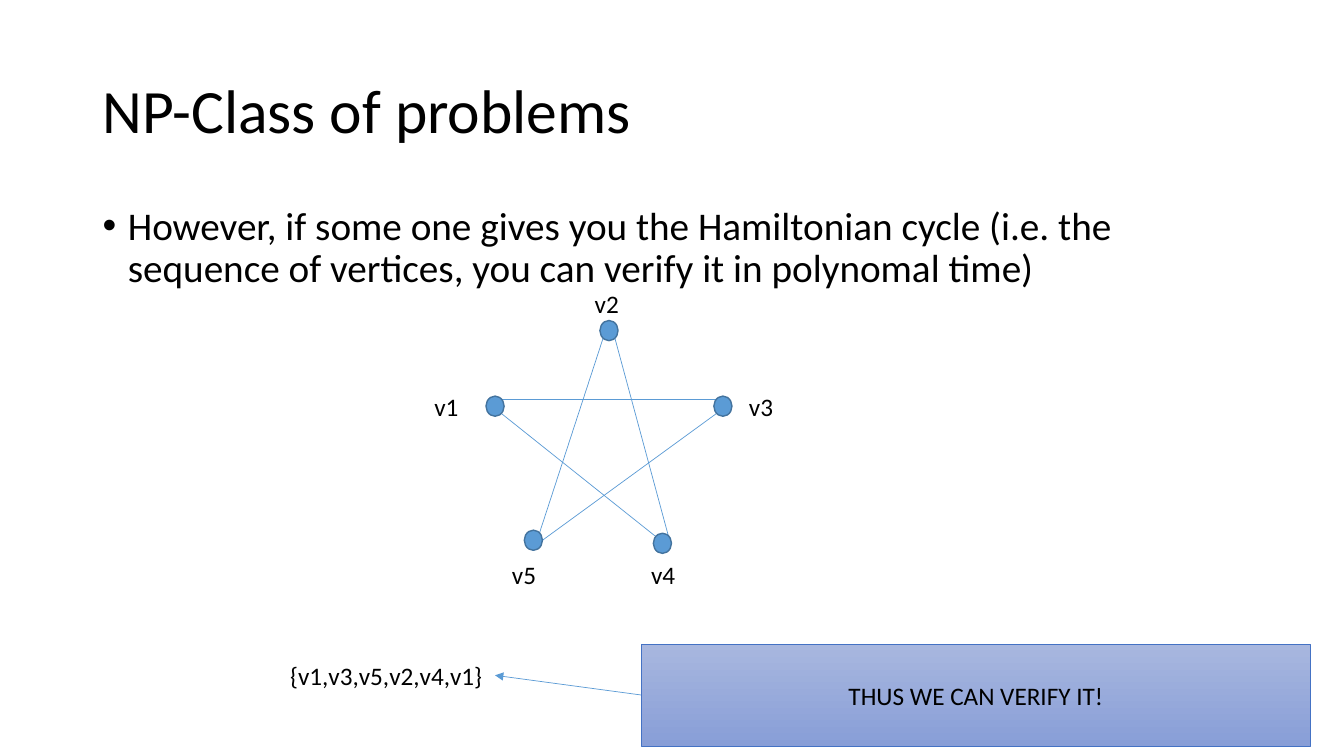
from lxml import etree
from pptx import Presentation
from pptx.dml.color import RGBColor
from pptx.enum.shapes import MSO_CONNECTOR, MSO_SHAPE
from pptx.enum.text import MSO_ANCHOR, PP_ALIGN
from pptx.oxml.ns import qn
from pptx.util import Inches, Pt

COLORS = {"text": "000000", "node": "5B9BD5", "node_line": "43739E",
          "box_line": "4472C4", "box_top": "A8B7DF", "box_bottom": "889ED7"}
FONT = "Calibri"
NODE_SIZE = (0.18, 0.2)
LABEL_SIZE = (0.44, 0.4)


def rgb(name):
    """Return the named colour."""
    return RGBColor.from_string(COLORS[name])


def write(shape, text, size=18, anchor=MSO_ANCHOR.TOP, wrap=True):
    """Put one styled paragraph in a shape and return it."""
    frame = shape.text_frame
    frame.word_wrap = wrap
    frame.vertical_anchor = anchor
    paragraph = frame.paragraphs[0]
    run = paragraph.add_run()
    run.text = text
    run.font.name, run.font.size = FONT, Pt(size)
    run.font.color.rgb = rgb("text")
    return paragraph


def add_text(slide, box, text, **style):
    """Add a text box at (left, top, width, height)."""
    return write(slide.shapes.add_textbox(*map(Inches, box)), text, **style)


def add_line(shapes, start, end, arrow=False):
    """Draw a thin straight line, with an optional arrowhead at its end."""
    line = shapes.add_connector(MSO_CONNECTOR.STRAIGHT, *map(Inches, start + end))
    line.line.color.rgb = rgb("node")
    line.line.width = Pt(0.5)
    properties = line._element.spPr
    if arrow:
        etree.SubElement(properties.find(qn("a:ln")), qn("a:tailEnd"), type="triangle")
    etree.SubElement(properties, qn("a:effectLst"))


def add_title(slide, box):
    """Add the slide title."""
    title = add_text(slide, box, "NP-Class of problems", size=44, anchor=MSO_ANCHOR.MIDDLE)
    title.line_spacing = 0.9


def add_body(slide, box):
    """Add the bulleted statement."""
    body = add_text(slide, box, "However, if some one gives you the Hamiltonian cycle "
                    "(i.e. the sequence of vertices, you can verify it in polynomal time)",
                    size=28)
    body.line_spacing = 0.9
    body.space_before = Pt(10)
    properties = body._p.get_or_add_pPr()
    properties.set("marL", str(Inches(0.25)))
    properties.set("indent", str(Inches(-0.25)))
    etree.SubElement(properties, qn("a:buFont"), typeface="Arial")
    etree.SubElement(properties, qn("a:buChar"), char="\u2022")


def add_graph(slide, box):
    """Add the five-vertex graph: edges, then nodes, then labels."""
    left, top = box[:2]

    def place(point):
        return left + point[0], top + point[1]

    edges = [((0.76, 1.15), (2.9, 1.15)), ((1.17, 2.55), (2.9, 1.29)),
             ((1.14, 2.48), (1.77, 0.55)), ((2.42, 2.51), (1.89, 0.55)),
             ((2.29, 2.51), (0.76, 1.29))]
    vertices = {  # name: (node corner, label corner)
        "v1": ((0.61, 1.12), (0, 1.02)),
        "v2": ((1.74, 0.37), (1.59, 0)),
        "v3": ((2.87, 1.12), (3.12, 1.02)),
        "v4": ((2.27, 2.48), (2.15, 2.69)),
        "v5": ((0.99, 2.45), (0.77, 2.69)),
    }
    group = slide.shapes.add_group_shape()
    for start, end in edges:
        add_line(group.shapes, place(start), place(end))
    for corner, _ in vertices.values():
        node = group.shapes.add_shape(MSO_SHAPE.OVAL, *map(Inches, place(corner) + NODE_SIZE))
        node.shadow.inherit = False
        node.fill.solid()
        node.fill.fore_color.rgb = rgb("node")
        node.line.color.rgb = rgb("node_line")
        node.line.width = Pt(1)
    for name, (_, corner) in vertices.items():
        add_text(slide, place(corner) + LABEL_SIZE, name, wrap=False)


def add_verification(slide, box):
    """Add the vertex sequence, and the conclusion box pointing to it."""
    left, top, width, height = box
    sequence_width, box_offset = 2.13, 3.58
    box_left = left + box_offset
    add_text(slide, (left, top + 0.11, sequence_width, 0.4),
             "{v1,v3,v5,v2,v4,v1}", wrap=False)
    add_line(slide.shapes, (box_left, top + height / 2),
             (left + sequence_width, top + 0.31), arrow=True)
    conclusion = slide.shapes.add_shape(
        MSO_SHAPE.RECTANGLE, *map(Inches, (box_left, top, width - box_offset, height)))
    conclusion.shadow.inherit = False
    conclusion.fill.gradient()
    conclusion.fill.gradient_angle = 270
    for stop, name, position in zip(conclusion.fill.gradient_stops,
                                    ("box_top", "box_bottom"), (0, 1)):
        stop.color.rgb = rgb(name)
        stop.position = position
    conclusion.line.color.rgb = rgb("box_line")
    conclusion.line.width = Pt(0.5)
    write(conclusion, "THUS WE CAN VERIFY IT!",
          anchor=MSO_ANCHOR.MIDDLE).alignment = PP_ALIGN.CENTER


def main():
    """Build and save the slide."""
    deck = Presentation()
    deck.slide_width, deck.slide_height = Inches(13.33), Inches(7.5)
    slide = deck.slides.add_slide(deck.slide_layouts[6])
    add_title(slide, (0.92, 0.4, 11.5, 1.45))
    add_body(slide, (0.92, 2, 11.5, 4.76))
    add_graph(slide, (4.21, 2.81, 3.56, 3.09))
    add_verification(slide, (2.78, 6.39, 10.22, 1.01))
    deck.save("out.pptx")


main()
